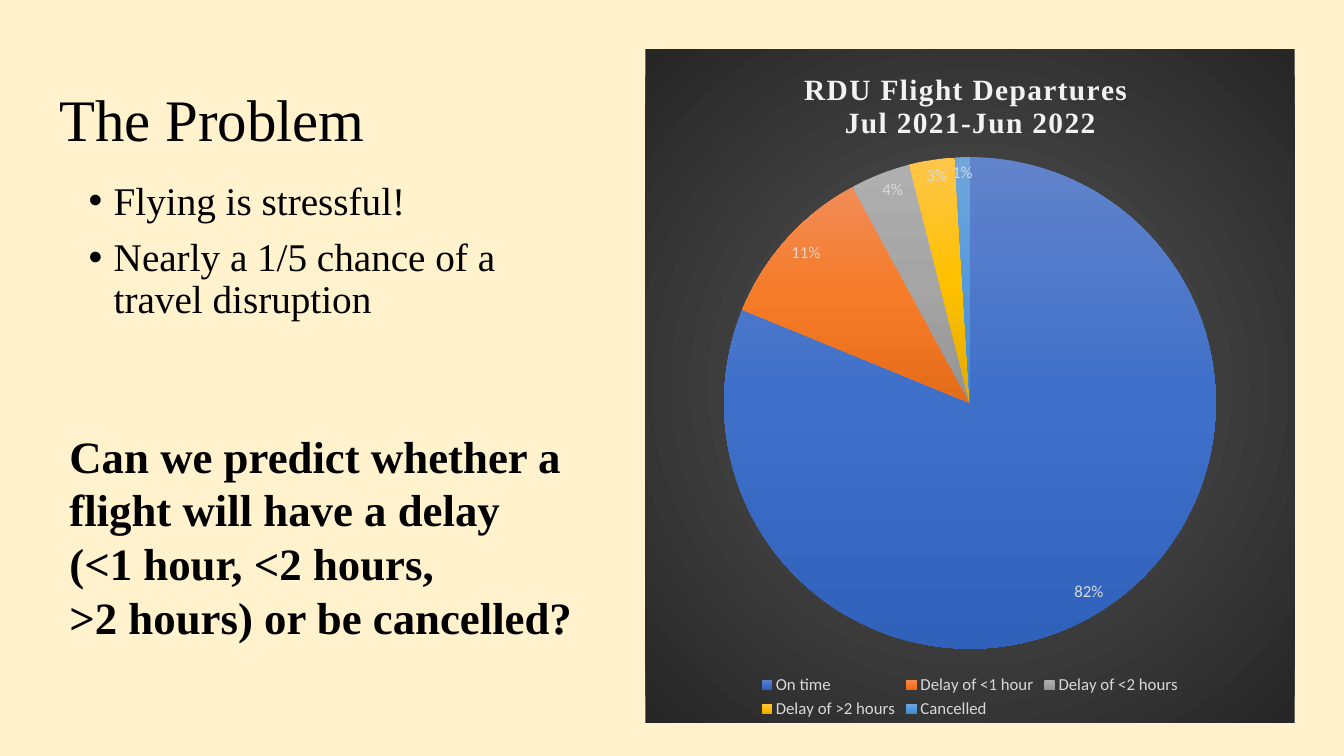
from lxml import etree
from pptx import Presentation
from pptx import util as u
from pptx.chart.data import CategoryChartData
from pptx.dml.color import RGBColor
from pptx.enum import chart as ch, text
from pptx.oxml import parse_xml
from pptx.oxml.ns import nsdecls, qn

SERIF, SANS = "Times New Roman", "Calibri"
COLORS = {"background": "FFF2CC", "text": "000000", "title": "F2F2F2", "label": "D9D9D9",
          "panel_center": "595959", "panel_edge": "262626"}
# Category, percent, gradient from top to bottom
DEPARTURES = [
    ("On time", 82, ("6183CB", "3E70CA", "3062BB")),
    ("Delay of <1 hour", 11, ("F18C57", "F67B28", "E56C19")),
    ("Delay of <2 hours", 4, ("AFAFAF", "A5A5A5", "939393")),
    ("Delay of >2 hours", 3, ("FFC64B", "FFC000", "E3AB00")),
    ("Cancelled", 1, ("71A6DB", "559BDB", "448ACA")),
]
CROWDED_SLICE = 3  # its label moves left, clear of the next one
PERCENT = '0"%"'


def set_font(font, size, color, name, bold=False):
    font.size, font.name, font.bold = u.Pt(size), name, bold
    font.color.rgb = RGBColor.from_string(COLORS[color])


def add_text(s, box, lines, size, bold=False, bullet=False, line_spacing=None,
             space_before=0, anchor=text.MSO_ANCHOR.TOP, fill=None):
    sp = s.shapes.add_textbox(*map(u.Inches, box))
    if fill:
        sp.fill.solid()
        sp.fill.fore_color.rgb = RGBColor.from_string(COLORS[fill])
    tf = sp.text_frame
    tf.word_wrap, tf.vertical_anchor = True, anchor
    for i, line in enumerate(lines):
        p = tf.paragraphs[0] if i == 0 else tf.add_paragraph()
        p.space_before = u.Pt(space_before)
        if line_spacing:
            p.line_spacing = line_spacing
        r = p.add_run()
        r.text = line
        set_font(r.font, size, "text", SERIF, bold)
        if bullet:
            pPr = p._p.get_or_add_pPr()
            pPr.set("marL", str(u.Inches(0.25)))
            pPr.set("indent", str(-u.Inches(0.25)))
            etree.SubElement(pPr, qn("a:buFont")).set("typeface", "Arial")
            etree.SubElement(pPr, qn("a:buChar")).set("char", "•")


def gradient(colors, direction):
    step = 100000 // (len(colors) - 1)
    stops = "".join(f'<a:gs pos="{i * step}"><a:srgbClr val="{c}"/></a:gs>'
                    for i, c in enumerate(colors))
    return f'<a:gradFill><a:gsLst>{stops}</a:gsLst>{direction}</a:gradFill>'


def shape_properties(fill):
    return parse_xml(f'<c:spPr {nsdecls("c", "a")}>{fill}<a:ln><a:noFill/></a:ln></c:spPr>')


def place(parent, before, inner=False, edge=True, **position):
    """Give a chart part a manual layout in fractions of the chart."""
    target = '<c:layoutTarget val="inner"/>' if inner else ""
    modes = "".join(f'<c:{k}Mode val="edge"/>' for k in "xy") if edge else ""
    values = "".join(f'<c:{k} val="{v}"/>' for k, v in position.items())
    for old in parent.findall(qn("c:layout")):
        parent.remove(old)
    parent.find(qn(before)).addprevious(parse_xml(
        f'<c:layout {nsdecls("c")}><c:manualLayout>{target}{modes}{values}'
        '</c:manualLayout></c:layout>'))


def add_departures_pie(s, box):
    data = CategoryChartData()
    data.categories = [name for name, _, _ in DEPARTURES]
    data.add_series("Series 1", [value for _, value, _ in DEPARTURES])
    chart = s.shapes.add_chart(ch.XL_CHART_TYPE.PIE, *map(u.Inches, box), data).chart
    set_font(chart.font, 10, "text", SANS)

    # Title
    tf = chart.chart_title.text_frame
    for i, line in enumerate(["RDU Flight Departures ", "Jul 2021-Jun 2022"]):
        p = tf.paragraphs[0] if i == 0 else tf.add_paragraph()
        r = p.add_run()
        r.text = line
        set_font(r.font, 21, "title", SERIF, bold=True)
        r.font._element.set("spc", "100")
    chart.chart_title.include_in_layout = False

    # Legend
    chart.has_legend = True
    chart.legend.position = ch.XL_LEGEND_POSITION.BOTTOM
    chart.legend.include_in_layout = False
    set_font(chart.legend.font, 12, "label", SANS)

    # Slices
    plot = chart.plots[0]
    plot.vary_by_categories = True
    series = plot.series[0]
    for i, (_, _, colors) in enumerate(DEPARTURES):
        series.points[i].format.fill.solid()
        old = chart._chartSpace.xpath(".//c:dPt/c:spPr")[i]
        fill = gradient(colors, '<a:lin ang="5400000" scaled="0"/>')
        old.getparent().replace(old, shape_properties(fill))

    # Labels
    labels = series.data_labels
    labels.show_value = True
    labels.number_format, labels.number_format_is_linked = PERCENT, False
    crowded = series.points[CROWDED_SLICE].data_label
    for label in (labels, crowded):
        label.position = ch.XL_LABEL_POSITION.INSIDE_END
        set_font(label.font, 12, "label", SANS)
    dLbl = chart._chartSpace.xpath(".//c:dLbl")[0]
    num_fmt = etree.Element(qn("c:numFmt"), formatCode=PERCENT, sourceLinked="0")
    dLbl.find(qn("c:idx")).addnext(num_fmt)
    place(dLbl, "c:numFmt", edge=False, x=-0.01, y=0)

    # Dark panel and layout
    c_chart = chart._chartSpace.find(qn("c:chart"))
    center = ('<a:path path="circle"><a:fillToRect l="50000" t="50000" r="50000" '
              'b="50000"/></a:path>')
    panel = (COLORS["panel_center"], COLORS["panel_edge"])
    c_chart.addnext(shape_properties(gradient(panel, center)))
    place(c_chart.find(qn("c:title")), "c:overlay", x=0.24, y=0.03)
    place(c_chart.find(qn("c:plotArea")), "c:pieChart", inner=True,
          x=0.12, y=0.16, w=0.76, h=0.73)


def main():
    prs = Presentation()
    prs.slide_width, prs.slide_height = u.Inches(13.33), u.Inches(7.5)
    s = prs.slides.add_slide(prs.slide_layouts[6])
    s.background.fill.solid()
    s.background.fill.fore_color.rgb = RGBColor.from_string(COLORS["background"])

    add_text(s, (0.49, 0.49, 13.6, 1.45), ["The Problem"], 42, line_spacing=0.9,
             anchor=text.MSO_ANCHOR.MIDDLE)
    add_departures_pie(s, (6.4, 0.49, 6.44, 6.68))
    add_text(s, (0.78, 1.75, 4.77, 1.76),
             ["Flying is stressful!", "Nearly a 1/5 chance of a travel disruption"],
             28, bullet=True, line_spacing=0.9, space_before=10, fill="background")
    add_text(s, (0.59, 4.2, 5.47, 2.26),
             ["Can we predict whether a flight will have a delay",
              "(<1 hour, <2 hours,", ">2 hours) or be cancelled?"], 32, bold=True)
    prs.save("out.pptx")


if __name__ == "__main__":
    main()
